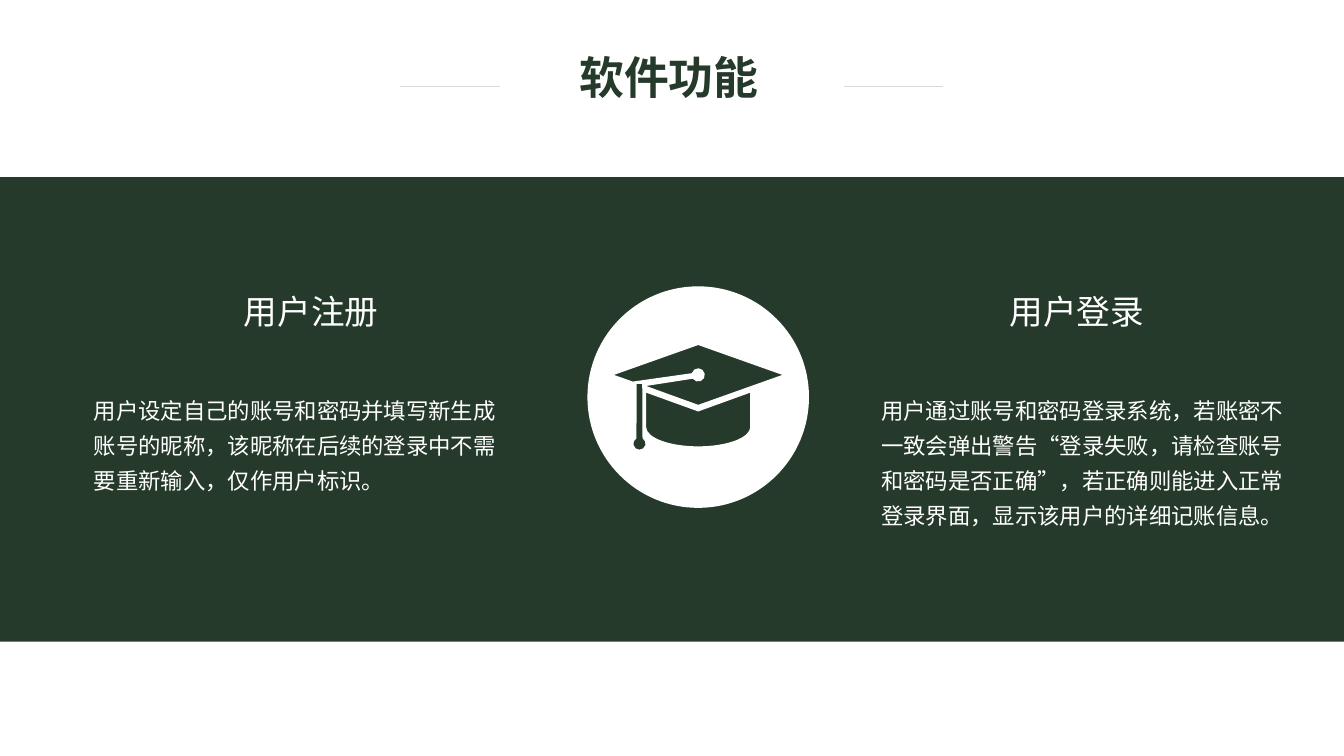
"""Build the software features slide: two text panels around a graduation cap badge."""
from dataclasses import dataclass
from math import cos, radians, sin, tan

from lxml.etree import Element, SubElement
from pptx import Presentation
from pptx.dml.color import RGBColor
from pptx.enum.lang import MSO_LANGUAGE_ID
from pptx.enum.shapes import MSO_CONNECTOR, MSO_SHAPE
from pptx.enum.text import MSO_ANCHOR, MSO_AUTO_SIZE, PP_ALIGN
from pptx.oxml.ns import qn
from pptx.util import Emu, Inches, Pt

COLORS = {"green": "253A2A", "white": "FFFFFF", "rule": "D9D9D9"}
FONT = "Arial"
SLIDE_WIDTH, SLIDE_HEIGHT = Inches(13.33), Inches(7.5)
COMPARISON_LAYOUT = 4

Point = tuple[float, float]
Segment = tuple[Point, ...]


@dataclass(frozen=True)
class Box:
    """A rectangle in percent of the slide's width and height."""
    left: float
    top: float
    width: float
    height: float


@dataclass(frozen=True)
class Panel:
    """A heading and its text, with their placeholder numbers."""
    heading: str
    text: str
    heading_index: int
    text_index: int
    heading_box: Box
    text_box: Box


PANELS = [
    Panel("用户注册",
          "用户设定自己的账号和密码并填写新生成账号的昵称，该昵称在后续的登录中不需要重新输入，仅作用户标识。",
          1, 2, Box(9.53, 37.87, 27.23, 6.67), Box(6.23, 50.8, 31.81, 15.33)),
    Panel("用户登录",
          "用户通过账号和密码登录系统，若账密不一致会弹出警告“登录失败，请检查账号和密码是否正确”，"
          "若正确则能进入正常登录界面，显示该用户的详细记账信息。",
          3, 4, Box(66.5, 37.87, 27.23, 6.67), Box(64.82, 50.8, 31.81, 20)),
]
TITLE_BOX = Box(36.72, 5.87, 26.1, 8.53)
BAND_BOX = Box(0, 23.45, 100, 61.45)
RULE_LEFTS, RULE_TOP, RULE_WIDTH = (29.78, 62.8), 11.47, 7.4
BADGE_CENTER, BADGE_RADIUS = (51.95, 52.53), 14.65


def across(percent: float) -> Emu:
    """Turn a share of the slide's width into a length."""
    return Emu(round(SLIDE_WIDTH * percent / 100))


def down(percent: float) -> Emu:
    """Turn a share of the slide's height into a length."""
    return Emu(round(SLIDE_HEIGHT * percent / 100))


def color(name: str) -> RGBColor:
    """Look up a named colour."""
    return RGBColor.from_string(COLORS[name])


def place(shape, box: Box) -> None:
    """Move and size a shape."""
    shape.left, shape.top = across(box.left), down(box.top)
    shape.width, shape.height = across(box.width), down(box.height)


def write(shape, text: str, box: Box, *, size: float, ink: str = "white",
          bold: bool = False, align: PP_ALIGN = PP_ALIGN.LEFT,
          line_spacing: float = 1.0) -> None:
    """Fill a placeholder with one formatted paragraph."""
    place(shape, box)
    frame = shape.text_frame
    frame.word_wrap = True
    frame.auto_size = MSO_AUTO_SIZE.SHAPE_TO_FIT_TEXT
    frame.vertical_anchor = MSO_ANCHOR.TOP
    frame.margin_top = frame.margin_bottom = Inches(0.05)
    paragraph = frame.paragraphs[0]
    properties = paragraph._p.get_or_add_pPr()
    properties.set("marL", "0")
    properties.set("indent", "0")
    SubElement(properties, qn("a:buNone"))
    paragraph.alignment = align
    paragraph.space_before = Pt(0)
    paragraph.line_spacing = line_spacing
    run = paragraph.add_run()
    run.text = text
    font = run.font
    font.name, font.size, font.bold = FONT, Pt(size), bold
    font.color.rgb = color(ink)
    font.language_id = MSO_LANGUAGE_ID.SIMPLIFIED_CHINESE


def paint(shape, fill: str) -> None:
    """Give a shape a plain fill without line or shadow."""
    shape.shadow.inherit = False
    shape.fill.solid()
    shape.fill.fore_color.rgb = color(fill)
    shape.line.fill.background()


def draw_band(slide) -> None:
    """Draw the wide band behind all text."""
    band = slide.shapes.add_shape(MSO_SHAPE.RECTANGLE, 0, 0, 0, 0)
    place(band, BAND_BOX)
    paint(band, "green")
    slide.shapes.title.element.addprevious(band.element)


def draw_rule(slide, left: float) -> None:
    """Draw a thin line beside the title."""
    rule = slide.shapes.add_connector(
        MSO_CONNECTOR.STRAIGHT, across(left), down(RULE_TOP),
        across(left + RULE_WIDTH), down(RULE_TOP))
    rule.line.color.rgb = color("rule")
    rule.line.width = Pt(0.5)
    SubElement(rule.element.spPr, qn("a:effectLst"))


def lines(*points: Point) -> list[Segment]:
    """Make one straight segment to each point."""
    return [(point,) for point in points]


def arc(center: Point, radius: Point, start: float, end: float, count: int) -> list[Segment]:
    """Make a line to an elliptical arc and the curves along it, with angles in degrees."""
    step = radians(end - start) / count
    pull = 4 / 3 * tan(step / 4)

    def locate(angle: float, tangent: float) -> Point:
        return (center[0] + radius[0] * (cos(angle) - tangent * sin(angle)),
                center[1] + radius[1] * (sin(angle) + tangent * cos(angle)))

    angles = [radians(start) + step * index for index in range(count + 1)]
    curves = [(locate(first, pull), locate(last, -pull), locate(last, 0))
              for first, last in zip(angles, angles[1:])]
    return [(locate(angles[0], 0),), *curves]


def draw_badge(slide) -> None:
    """Draw a disc with the cap cut out, in hundredths of its radius."""
    disc = arc((0, 0), (100, 100), 0, 360, 4)
    tassel = [*lines((-55.5, -12), (-50.5, -12)), *arc((-53, 42), (5.5, 5.5), -60, 240, 4)]
    base = [*lines((-47, -4), (0, 13), (47, -4)), *arc((0, 27), (47, 17.5), 0, 180, 2)]
    board = [*lines((0, 7), (-47, -10)), *arc((0, -20), (6, 6), 145, -165, 4),
             *lines((-59, -14), (-76, -20), (0, -47), (76, -20))]
    outlines = (disc, tassel, base, board)
    unit = down(BADGE_RADIUS) / 100

    def locate(point: Point) -> tuple[int, int]:
        return (round(across(BADGE_CENTER[0]) + point[0] * unit),
                round(down(BADGE_CENTER[1]) + point[1] * unit))

    builder = slide.shapes.build_freeform(*locate(disc[0][0]))
    for outline in outlines:
        if outline is not disc:
            builder.move_to(*locate(outline[0][0]))
        builder.add_line_segments(
            [locate(point) for segment in outline[1:] for point in segment])
    badge = builder.convert_to_shape()
    paint(badge, "white")

    line_elements = iter(list(badge.element.iter(qn("a:lnTo"))))
    for segment in (segment for outline in outlines for segment in outline[1:]):
        parts = [next(line_elements) for _ in segment]
        if len(parts) == 3:
            curve = Element(qn("a:cubicBezTo"))
            parts[0].addprevious(curve)
            for part in parts:
                curve.append(part[0])
                part.getparent().remove(part)


def main() -> None:
    """Assemble and save the slide."""
    presentation = Presentation()
    presentation.slide_width, presentation.slide_height = SLIDE_WIDTH, SLIDE_HEIGHT
    slide = presentation.slides.add_slide(presentation.slide_layouts[COMPARISON_LAYOUT])
    draw_band(slide)
    write(slide.shapes.title, "软件功能", TITLE_BOX, size=32, ink="green",
          bold=True, align=PP_ALIGN.CENTER)
    for left in RULE_LEFTS:
        draw_rule(slide, left)
    draw_badge(slide)
    for panel in PANELS:
        write(slide.placeholders[panel.heading_index], panel.heading, panel.heading_box,
              size=24, align=PP_ALIGN.CENTER)
        write(slide.placeholders[panel.text_index], panel.text, panel.text_box,
              size=16, line_spacing=Pt(25))
    presentation.save("out.pptx")


if __name__ == "__main__":
    main()
